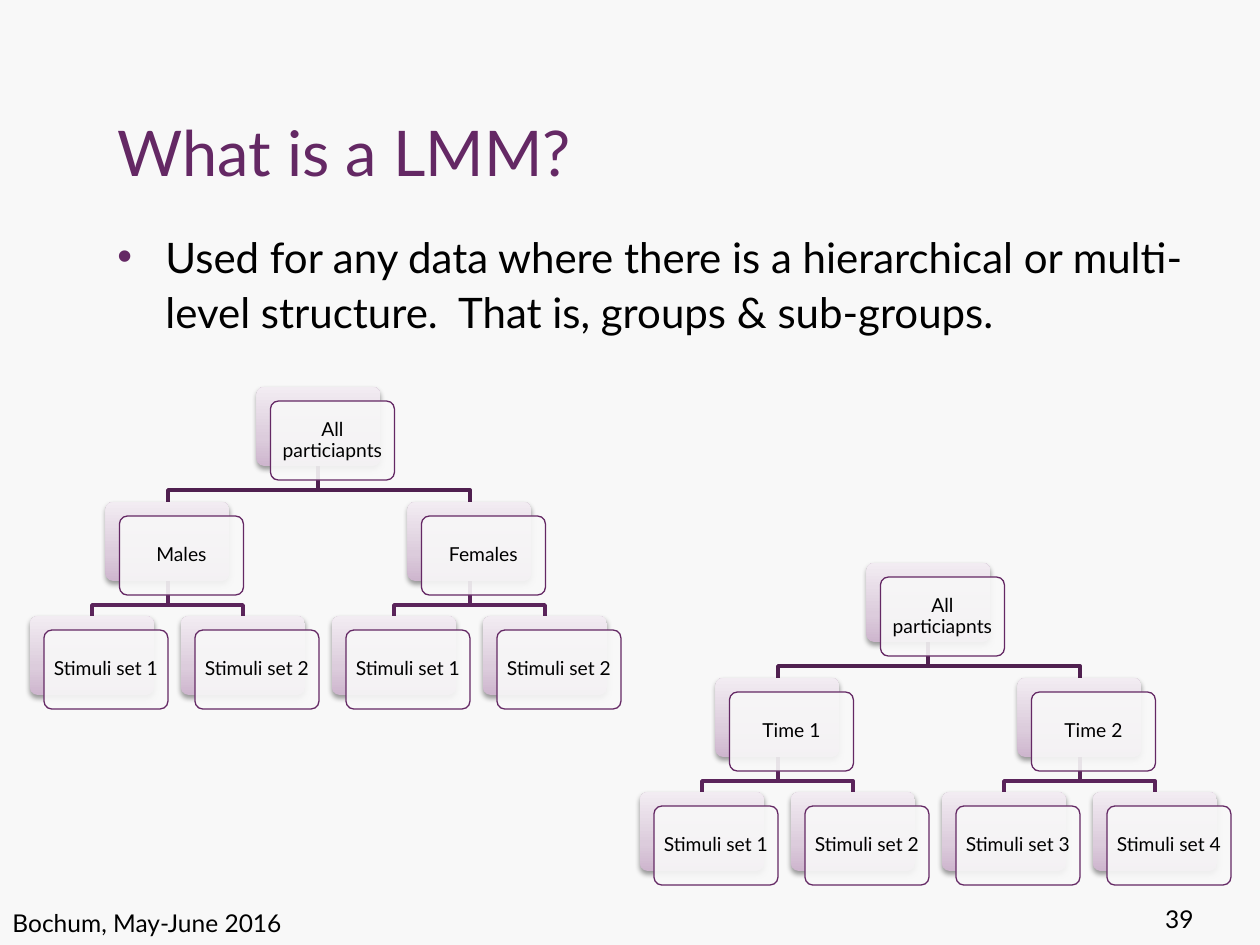
from copy import deepcopy

from lxml import etree
from pptx import Presentation
from pptx.dml.color import RGBColor
from pptx.enum.shapes import MSO_SHAPE
from pptx.enum.text import MSO_ANCHOR, MSO_AUTO_SIZE, PP_ALIGN
from pptx.oxml.ns import qn
from pptx.util import Pt

PX = 914400 / 126
ROUNDED = MSO_SHAPE.ROUNDED_RECTANGLE
LEFT, CENTER, RIGHT = PP_ALIGN.LEFT, PP_ALIGN.CENTER, PP_ALIGN.RIGHT
BOTTOM, MIDDLE = MSO_ANCHOR.BOTTOM, MSO_ANCHOR.MIDDLE
NO_FIT = MSO_AUTO_SIZE.NONE

FONT = "Lato"
PAPER = RGBColor(0xF8, 0xF8, 0xF8)
BLACK = RGBColor(0, 0, 0)
PURPLE = RGBColor(0x64, 0x28, 0x64)
TOP_LINK = RGBColor(0x50, 0x20, 0x50)
LOW_LINK = RGBColor(0x5B, 0x24, 0x5B)
CARD_STOPS = [(0, RGBColor(0xCE, 0xB6, 0xCE)),
              (0.35, RGBColor(0xDC, 0xCC, 0xDC)),
              (1, RGBColor(0xF2, 0xEC, 0xF2))]

# Tree geometry in pixels
CARD_W, CARD_H, FRONT_SHIFT, INSET = 124, 79, 14, 6
SLOT = 151
LEVEL_TOPS = (0, 115, 229)
ELBOW_DROP = 24
# Each node: level, slot; each link: parent index, child index
NODES = [(0, 1.5), (1, 0.5), (2, 0), (2, 1), (1, 2.5), (2, 2), (2, 3)]
LINKS = [(4, 6), (4, 5), (0, 4), (1, 3), (1, 2), (0, 1)]
TREES = [
    (30, 387, ["All particiapnts", "Males", "Stimuli set 1", "Stimuli set 2",
               "Females", "Stimuli set 1", "Stimuli set 2"]),
    (640, 563, ["All particiapnts", "Time 1", "Stimuli set 1", "Stimuli set 2",
                "Time 2", "Stimuli set 3", "Stimuli set 4"]),
]


def emu(*pixels):
    return [round(value * PX) for value in pixels]


def write(shape, text, size, color, align):
    frame = shape.text_frame
    frame.text = text
    frame.word_wrap = True
    frame.auto_size = NO_FIT
    para = frame.paragraphs[0]
    para.alignment = align
    font = para.runs[0].font
    font.name, font.size, font.color.rgb = FONT, Pt(size), color
    return para


deck = Presentation()
deck.slide_width, deck.slide_height = emu(1260, 945)
page = deck.slides.add_slide(deck.slide_layouts[5])
page.background.fill.solid()
page.background.fill.fore_color.rgb = PAPER
shapes = page.shapes

# Title
title = shapes.title
title.left, title.top, title.width, title.height = emu(105, 38, 853, 157)
write(title, "What is a LMM?", 36, PURPLE, LEFT)
title.text_frame.vertical_anchor = BOTTOM

# Bullet text
body = shapes.add_textbox(*emu(105, 220, 1092, 130))
para = write(body, "Used for any data where there is a hierarchical or multi-level "
             "structure.  That is, groups & sub-groups.", 24, BLACK, LEFT)
para.line_spacing = 1.1
para.space_before = Pt(5)
settings = para._p.get_or_add_pPr()
indent = emu(48)[0]
settings.set("marL", str(indent))
settings.set("indent", str(-indent))
bullet_color = etree.SubElement(settings, qn("a:buClr"))
etree.SubElement(bullet_color, qn("a:srgbClr"), val=str(PURPLE))
etree.SubElement(settings, qn("a:buFont"), typeface="Arial")
etree.SubElement(settings, qn("a:buChar"), char="•")

# Footer and page number
footer = shapes.add_textbox(*emu(0, 902, 873, 43))
write(footer, "Bochum, May-June 2016", 14, BLACK, LEFT)
number = shapes.add_textbox(*emu(1113, 898, 93, 47))
write(number, "39", 14, BLACK, RIGHT)

for tree_left, tree_top, labels in TREES:
    places = [(tree_left + slot * SLOT, tree_top + LEVEL_TOPS[level])
              for level, slot in NODES]

    # Elbow links behind the cards
    for parent, child in LINKS:
        start_x, start_y = places[parent][0] + CARD_W / 2, places[parent][1] + CARD_H
        end_x, end_y = places[child][0] + CARD_W / 2, places[child][1]
        elbow_y = start_y + ELBOW_DROP
        outline = shapes.build_freeform(start_x, start_y, scale=PX)
        outline.add_line_segments(
            [(start_x, elbow_y), (end_x, elbow_y), (end_x, end_y)], close=False)
        link = outline.convert_to_shape()
        link.shadow.inherit = False
        link.fill.background()
        link.line.color.rgb = TOP_LINK if parent == 0 else LOW_LINK
        link.line.width = Pt(2)

    for (left, top), label in zip(places, labels):
        # Shaded back card
        back = shapes.add_shape(ROUNDED, *emu(left, top, CARD_W, CARD_H))
        back.adjustments[0] = 0.1
        back.line.fill.background()
        back.fill.gradient()
        back.fill.gradient_angle = 90
        stop_list = back._element.spPr.find(".//" + qn("a:gsLst"))
        stop_list.append(deepcopy(stop_list[0]))
        for stop, (position, color) in zip(back.fill.gradient_stops, CARD_STOPS):
            stop.position = position
            stop.color.rgb = color
        back.shadow.inherit = False
        effects = back._element.spPr.find(qn("a:effectLst"))
        shadow = etree.SubElement(effects, qn("a:outerShdw"), blurRad=str(Pt(3.1)),
                                  dist=str(Pt(1.6)), dir="5400000", rotWithShape="0")
        shade = etree.SubElement(shadow, qn("a:srgbClr"), val=str(BLACK))
        etree.SubElement(shade, qn("a:alpha"), val="38000")

        # Translucent front card with its label
        front = shapes.add_shape(
            ROUNDED, *emu(left + FRONT_SHIFT, top + FRONT_SHIFT, CARD_W, CARD_H))
        front.adjustments[0] = 0.1
        front.shadow.inherit = False
        front.fill.solid()
        front.fill.fore_color.rgb = PAPER
        tint = front._element.spPr.find(qn("a:solidFill"))[0]
        etree.SubElement(tint, qn("a:alpha"), val="90000")
        front.line.color.rgb = PURPLE
        front.line.width = Pt(0.75)
        write(front, label, 11, BLACK, CENTER).line_spacing = 0.9
        frame = front.text_frame
        frame.vertical_anchor = MIDDLE
        (frame.margin_left, frame.margin_top,
         frame.margin_right, frame.margin_bottom) = emu(*[INSET] * 4)

deck.save("out.pptx")
